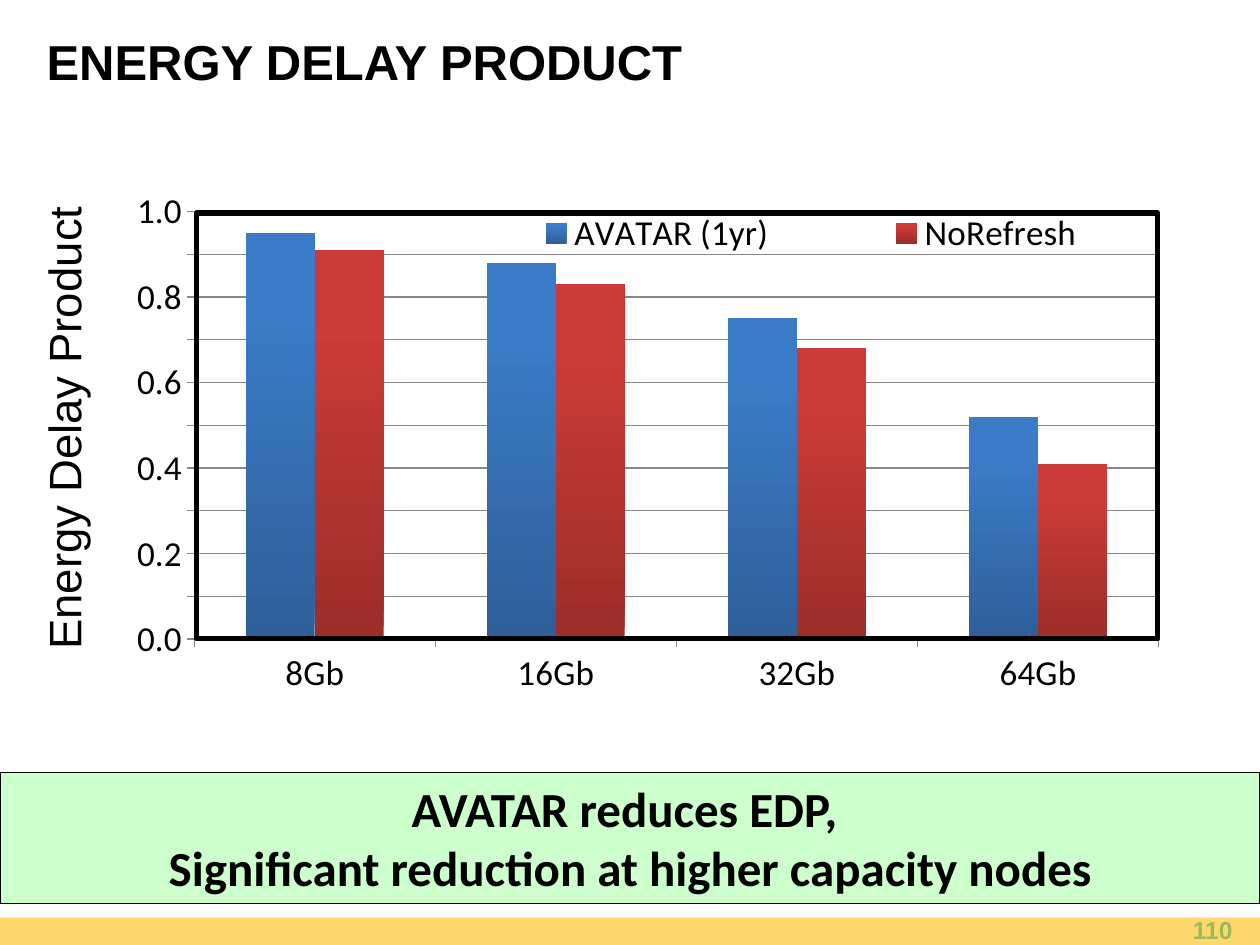
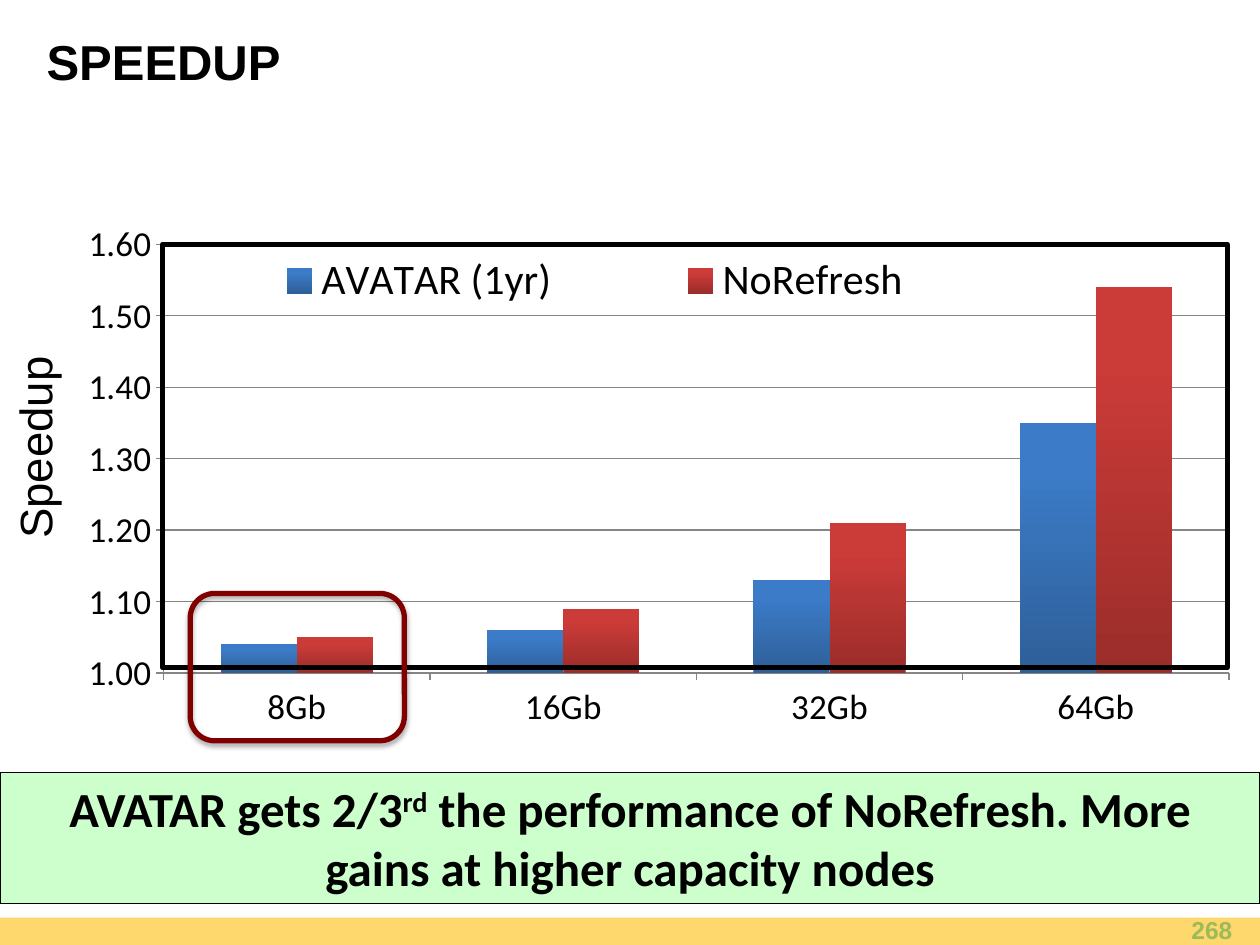
from lxml import etree
from pptx import Presentation
from pptx.chart.data import CategoryChartData
from pptx.dml.color import RGBColor
from pptx.enum import chart as ce, shapes as se, text as te
from pptx.oxml import parse_xml
from pptx.oxml.ns import qn, nsdecls
from pptx.util import Pt

hues = {"ink": "000000", "band": "FFD86D", "page": "9BBB59", "note": "CCFFCC",
        "ring": "800000", "grid": "868686"}
bars = [("2E5F99", "3C7BC7"), ("9B2D2A", "CB3B38")]
names = ["AVATAR (1yr)", "NoRefresh"]
cats = ["8Gb", "16Gb", "32Gb", "64Gb"]

decks = [
    dict(title="ENERGY DELAY PRODUCT", page="110",
         label="Energy Delay Product", spot=(-98.64, 223.92, 270, 38.88),
         area=(59.76, 102.96, 640.8, 298.08), plot=(0.08, 0.06, 0.86, 0.82),
         key=(0.29, 0.06, 0.68, 0.08), size=20, form="#,##0.0", low=0, high=1,
         vals=[(0.95, 0.88, 0.75, 0.52), (0.91, 0.83, 0.68, 0.41)],
         frame=(112.32, 121.68, 549.36, 243.36), ring=None,
         note=[[("AVATAR reduces EDP, ", 0)],
               [("Significant reduction at higher capacity nodes", 0)]]),
    dict(title="SPEEDUP", page="268",
         label="Speedup", spot=(-40.32, 235.44, 120.24, 38.88),
         area=(38.88, 121.68, 684, 298.8), plot=(0.08, 0.06, 0.89, 0.82),
         key=(0.08, 0.08, 0.72, 0.1), size=24, form="#,##0.00", low=1, high=1.6,
         vals=[(1.04, 1.06, 1.13, 1.35), (1.05, 1.09, 1.21, 1.54)],
         frame=(92.88, 139.68, 608.4, 241.92), ring=(108.72, 339.12, 122.4, 84.24),
         note=[[("AVATAR gets 2/3", 0), ("rd", 30000),
                (" the performance of NoRefresh. More gains at higher capacity nodes", 0)]]),
]


def write(shape, paras, size=28, font="Arial", hue="ink", bold=True,
          align=te.PP_ALIGN.LEFT, anchor=te.MSO_ANCHOR.MIDDLE, wrap=True):
    frame = shape.text_frame
    frame.word_wrap = wrap
    frame.vertical_anchor = anchor
    for n, runs in enumerate(paras):
        para = frame.add_paragraph() if n else frame.paragraphs[0]
        para.alignment = align
        for words, base in runs:
            run = para.add_run()
            run.text = words
            run.font.size, run.font.name, run.font.bold = Pt(size), font, bold
            run.font.color.rgb = RGBColor.from_string(hues[hue])
            if base:
                run.font._element.set("baseline", str(base))


def box(slide, at, fill=None, line=None, width=3, kind=se.MSO_SHAPE.RECTANGLE):
    shape = slide.shapes.add_shape(kind, *map(Pt, at))
    shape.shadow.inherit = False
    for part, hue in ((shape.fill, fill), (shape.line.fill, line)):
        if hue:
            part.solid()
            part.fore_color.rgb = RGBColor.from_string(hues[hue])
        else:
            part.background()
    if line:
        shape.line.width = Pt(width)
    return shape


prs = Presentation()
prs.slide_width, prs.slide_height = Pt(720), Pt(540)

for deck in decks:
    slide = prs.slides.add_slide(prs.slide_layouts[5])
    box(slide, (0, 524.4, 720, 15.6), "band")

    title = slide.shapes.title
    title.left, title.top, title.width, title.height = map(Pt, (19.44, 15.84, 660.24, 38.16))
    write(title, [[(deck["title"], 0)]])

    page = slide.shapes.add_textbox(*map(Pt, (543.6, 522, 167.76, 18.72)))
    write(page, [[(deck["page"], 0)]], size=14, hue="page", align=te.PP_ALIGN.RIGHT)

    label = slide.shapes.add_textbox(*map(Pt, deck["spot"]))
    label.rotation = 270
    write(label, [[(deck["label"], 0)]], size=26, bold=False,
          anchor=te.MSO_ANCHOR.TOP, wrap=False)

    data = CategoryChartData()
    data.categories = cats
    for name, vals in zip(names, deck["vals"]):
        data.add_series(name, vals)
    chart = slide.shapes.add_chart(ce.XL_CHART_TYPE.COLUMN_CLUSTERED,
                                   *map(Pt, deck["area"]), data).chart
    chart.has_title = False
    chart.font.size, chart.font.name = Pt(10), "Calibri"
    chart.font.color.rgb = RGBColor.from_string(hues["ink"])
    plot = chart.plots[0]
    plot.gap_width, plot.overlap, plot.vary_by_categories = 150, 0, False
    for row, tones in zip(plot.series, bars):
        fill = row.format.fill
        fill.gradient()
        fill.gradient_angle = 90
        for stop, tone, spot in zip(fill.gradient_stops, tones, (0, 0.8)):
            stop.color.rgb = RGBColor.from_string(tone)
            stop.position = spot

    rise = chart.value_axis
    rise.minimum_scale, rise.maximum_scale, rise.major_unit = deck["low"], deck["high"], 0.1
    rise.has_major_gridlines = True
    rise.tick_labels.number_format = deck["form"]
    rise.tick_labels.number_format_is_linked = False
    for axis in (rise, chart.category_axis):
        axis.major_tick_mark = ce.XL_TICK_MARK.OUTSIDE
        axis.tick_labels.font.size = Pt(20)
    for line in (rise.format.line, chart.category_axis.format.line,
                 rise.major_gridlines.format.line):
        line.color.rgb = RGBColor.from_string(hues["grid"])
        line.width = Pt(0.75)

    chart.has_legend = True
    key = chart.legend
    key.position = ce.XL_LEGEND_POSITION.RIGHT
    key.include_in_layout = False
    key.font.size = Pt(deck["size"])
    for node, spot, inner, slot in (
            (chart._chartSpace.chart.plotArea, deck["plot"], True, 0),
            (key._element, deck["key"], False, 1)):
        for old in node.findall(qn("c:layout")):
            node.remove(old)
        lay = parse_xml(f"<c:layout {nsdecls('c')}><c:manualLayout/></c:layout>")
        rules = [("layoutTarget", "inner")] if inner else []
        rules += [("xMode", "edge"), ("yMode", "edge"), *zip("xywh", spot)]
        for tag, val in rules:
            etree.SubElement(lay[0], qn("c:" + tag)).set("val", str(val))
        node.insert(slot, lay)

    box(slide, deck["frame"], line="ink")
    note = box(slide, (0, 441.36, 720, 74.88), "note", "ink", 0.75)
    write(note, deck["note"], font="Calibri", align=te.PP_ALIGN.CENTER,
          anchor=te.MSO_ANCHOR.TOP)

    if deck["ring"]:
        ring = box(slide, deck["ring"], line="ring", kind=se.MSO_SHAPE.ROUNDED_RECTANGLE)
        glow = ring._element.spPr.find(qn("a:effectLst"))
        glow.append(parse_xml(
            f'<a:outerShdw {nsdecls("a")} blurRad="{Pt(3.1)}" dist="{Pt(1.8)}" '
            f'dir="5400000" rotWithShape="0"><a:srgbClr val="{hues["ink"]}">'
            '<a:alpha val="35000"/></a:srgbClr></a:outerShdw>'))

prs.save("out.pptx")
